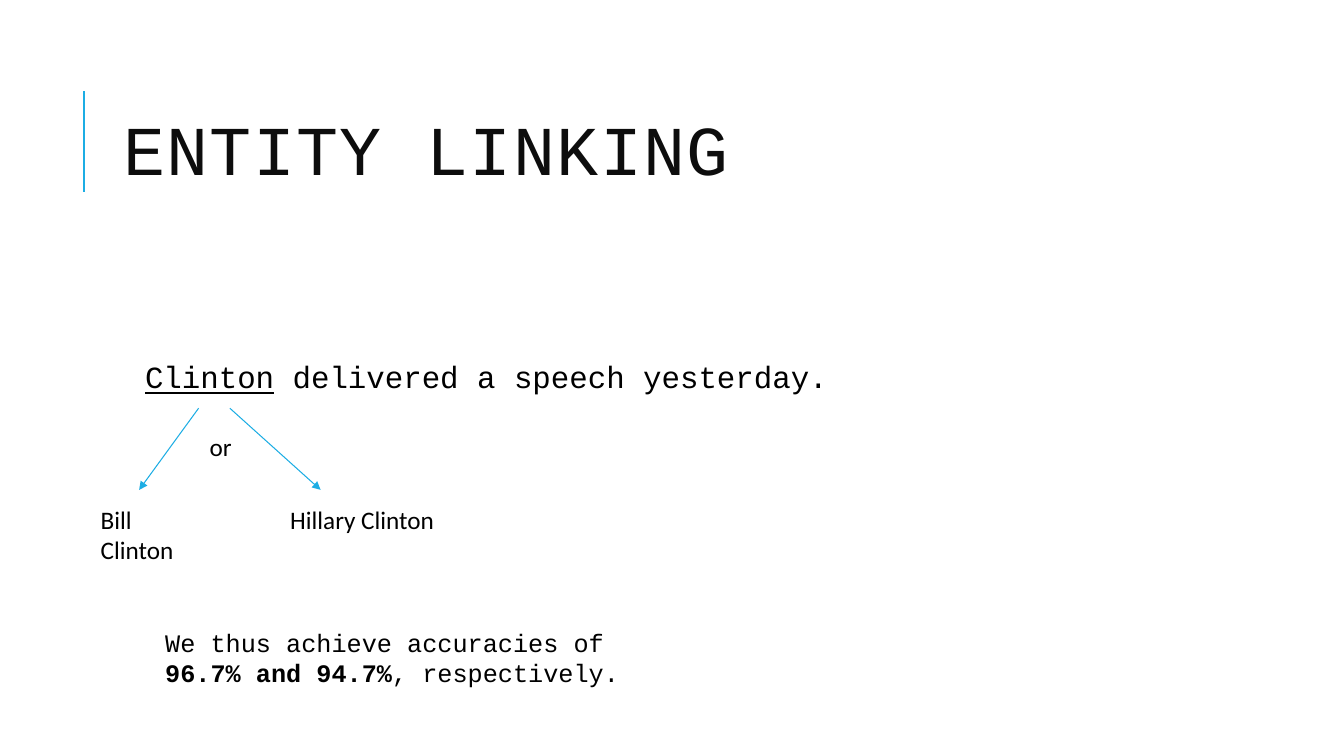
from dataclasses import dataclass

from lxml import etree
from pptx import Presentation
from pptx.dml.color import RGBColor
from pptx.enum.shapes import MSO_CONNECTOR
from pptx.enum.text import MSO_ANCHOR, MSO_AUTO_SIZE, PP_ALIGN
from pptx.oxml.ns import qn
from pptx.util import Inches, Pt

STRAIGHT = MSO_CONNECTOR.STRAIGHT
MIDDLE = MSO_ANCHOR.MIDDLE
NO_FIT = MSO_AUTO_SIZE.NONE
LEFT = PP_ALIGN.LEFT


@dataclass(frozen=True)
class Theme:
    accent: RGBColor = RGBColor(0x1C, 0xAD, 0xE4)
    heading: RGBColor = RGBColor(0x0D, 0x0D, 0x0D)
    text: RGBColor = RGBColor(0, 0, 0)
    mono: str = "Courier New"
    sans: str = "Calibri"
    title_size: int = 50
    sentence_size: int = 22
    label_size: int = 18


theme = Theme()


def add_text(page, bounds, spans, font, size):
    """Add a text box; spans are (text, bold, underline)."""
    box = page.shapes.add_textbox(*map(Inches, bounds))
    box.text_frame.word_wrap = True
    para = box.text_frame.paragraphs[0]
    for text, bold, underline in spans:
        span = para.add_run()
        span.text = text
        span.font.name = font
        span.font.size = Pt(size)
        span.font.color.rgb = theme.text
        span.font.bold = bold
        span.font.underline = underline


def add_line(page, start, end, width):
    line = page.shapes.add_connector(STRAIGHT, *map(Inches, start + end))
    line.line.color.rgb = theme.accent
    line.line.width = Pt(width)
    etree.SubElement(line._element.spPr, qn("a:effectLst"))
    return line


deck = Presentation()
deck.slide_width = Inches(13.33)
deck.slide_height = Inches(7.5)
page = deck.slides.add_slide(deck.slide_layouts[5])

# Title with accent rule
add_line(page, (0.83, 1.9), (0.83, 0.9), 1.5)
title = page.shapes.title
title.left, title.top = Inches(1.12), Inches(0.64)
title.width, title.height = Inches(10.63), Inches(1.64)
title.text_frame.auto_size = NO_FIT
title.text_frame.vertical_anchor = MIDDLE
para = title.text_frame.paragraphs[0]
para.alignment = LEFT
span = para.add_run()
span.text = "ENTITY LINKING"
span.font.name = theme.mono
span.font.size = Pt(theme.title_size)
span.font.color.rgb = theme.heading
span.font._element.set("spc", "100")

# Example sentence
sentence = [("Clinton", False, True),
            (" delivered a speech yesterday.", False, False)]
add_text(page, (1.34, 3.5, 10.58, 0.45), sentence, theme.mono, theme.sentence_size)

# Candidate entities
labels = [
    ("Bill Clinton", (0.9, 4.95, 1.28, 0.4)),
    ("Hillary Clinton", (2.78, 4.95, 1.75, 0.4)),
    ("or", (1.98, 4.23, 0.61, 0.4)),
]
for text, bounds in labels:
    add_text(page, bounds, [(text, False, False)], theme.sans, theme.label_size)

# Arrows from the mention to its candidates
for start_x, end_x in [(1.97, 1.38), (2.28, 3.18)]:
    arrow = add_line(page, (start_x, 4.05), (end_x, 4.86), 0.75)
    etree.SubElement(arrow.line._get_or_add_ln(), qn("a:tailEnd"), type="triangle")

# Result
result = [("We thus achieve accuracies of ", False, False),
          ("96.7% and 94.7%", True, False),
          (", respectively.", False, False)]
add_text(page, (1.54, 6.17, 5.33, 0.71), result, theme.mono, theme.label_size)

deck.save("out.pptx")
